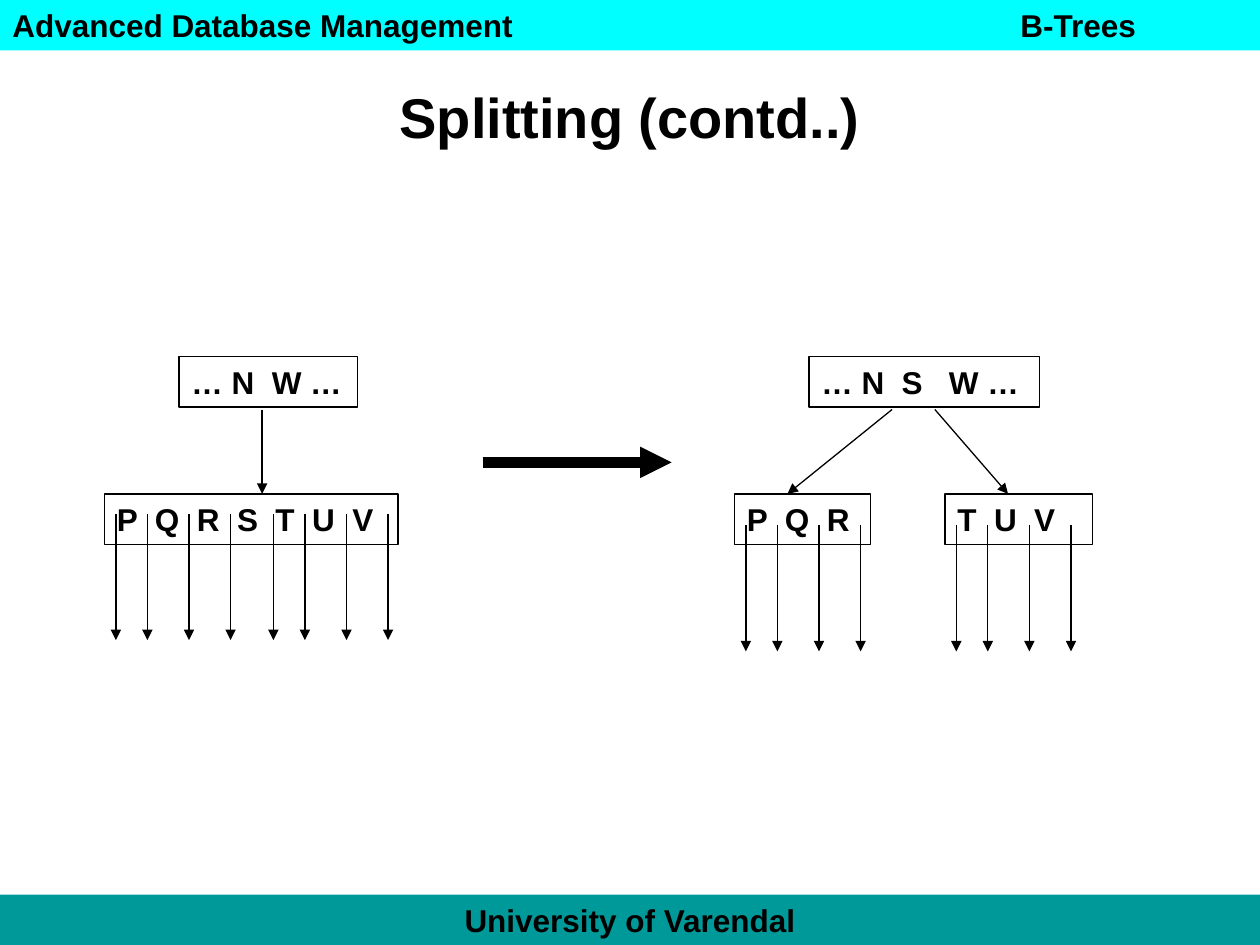
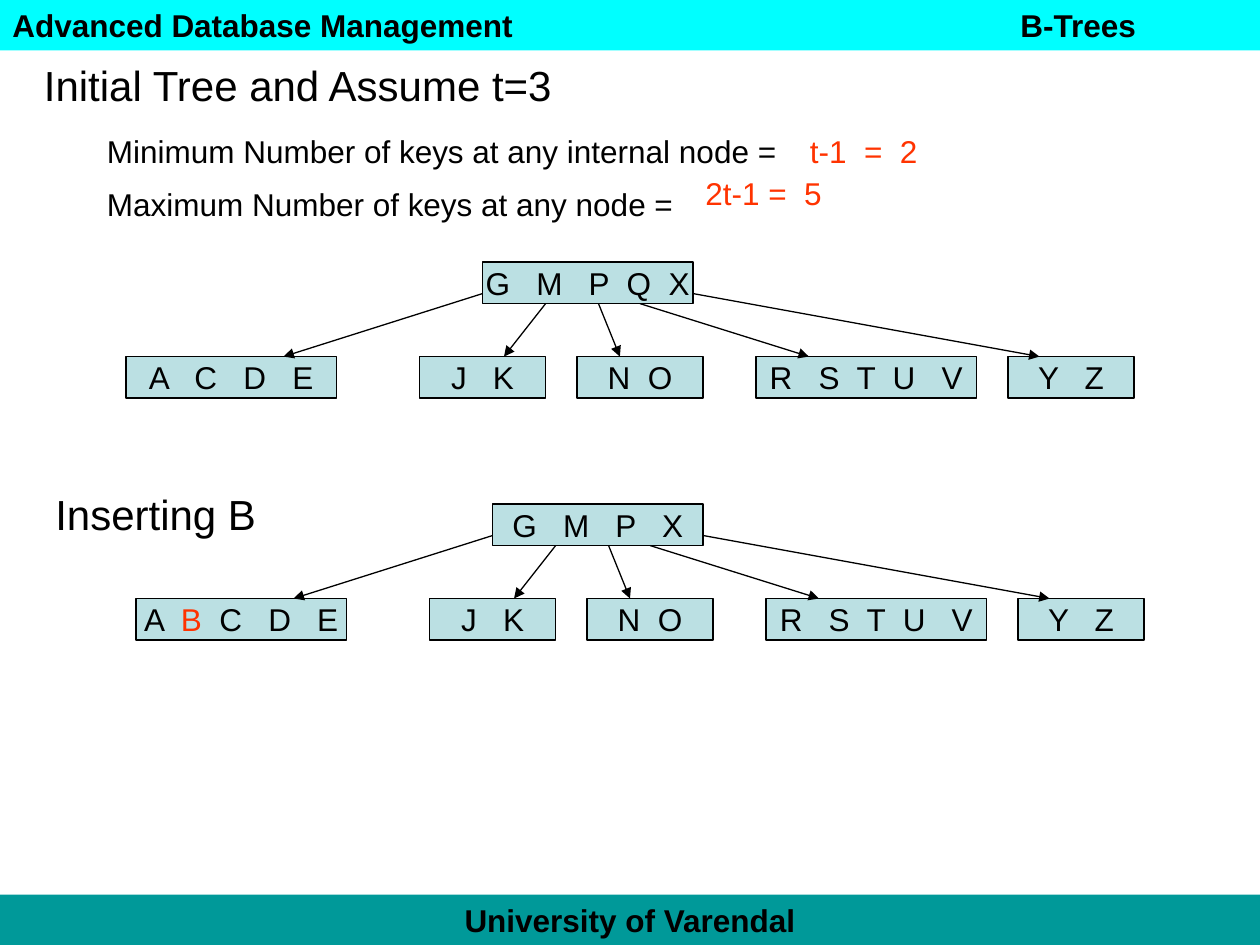
from pptx import Presentation
from pptx.util import Inches, Pt
from pptx.dml.color import RGBColor
from pptx.enum.shapes import MSO_CONNECTOR, MSO_SHAPE
from pptx.enum.text import MSO_ANCHOR, PP_ALIGN
from pptx.oxml.ns import qn
from lxml.etree import SubElement

BLACK = RGBColor(0, 0, 0)
RED = RGBColor(0xFF, 0x33, 0x00)
CYAN = RGBColor(0x00, 0xFF, 0xFF)
TEAL = RGBColor(0x00, 0x99, 0x99)
PALE = RGBColor(0xBB, 0xE0, 0xE3)
FONT = "Arial"
LEFT, MID = PP_ALIGN.LEFT, PP_ALIGN.CENTER

# Shared content
HEADER = "Advanced Database Management\tB-Trees"
FOOTER = "University of Varendal"
TOPIC_TAB = 8

# Splitting: parents (left, width, text)
TITLE = "Splitting (contd..)"
PARENTS = [(1.42, 1.42, "… N  W …"), (6.42, 1.83, "… N  S   W …")]
PARENT_TOP, CHILD_TOP = 2.83, 3.92
# Children: left, width, text, top of pointers
CHILDREN = [
    (0.83, 2.33, "P  Q  R  S  T  U  V", 4.08),
    (5.83, 1.08, "P  Q  R", 4.17),
    (7.5, 1.17, "T  U  V", 4.17),
]
LINKS = [(2.08, 2.08), (7.08, 6.25), (7.42, 8)]
STEPS = (0.09, 0.34, 0.67, 1)  # pointer places within four keys
SPAN = 1.25                    # width of four keys

# Insertion: trees (left, top, root text, first leaf as text and colour)
TREES = [
    (1, 2.08, "G   M   P  Q  X", [("A   C   D   E", BLACK)]),
    (1.08, 4, "G   M   P   X",
     [("A  ", BLACK), ("B", RED), ("  C   D   E", BLACK)]),
]
ROOT = (2.83, 1.67)
FIRST = 1.67
# Other leaves: left from the tree edge, width, text
LEAVES = [
    (2.33, 1, "J   K"),
    (3.58, 1, "N  O"),
    (5, 1.75, "R   S  T  U   V"),
    (7, 1, "Y   Z"),
]
DROP, NODE_H = 0.75, 0.33
# Branches: start x, start y, end x, from the tree corner
BRANCHES = [
    (2.83, 0.25, 1.25), (3.33, 0.33, 3), (3.75, 0.33, 3.92),
    (4.08, 0.33, 5.42), (4.5, 0.25, 7.25),
]
# Notes: left, top, width, height, size, colour, text
NOTES = [
    (0.25, 0.42, 4.32, 0.5, 24, BLACK, "Initial Tree and Assume t=3"),
    (0.34, 3.83, 1.85, 0.5, 24, BLACK, "Inserting B"),
    (0.75, 1, 5.57, 0.4, 18, BLACK,
     "Minimum Number of keys at any internal node ="),
    (0.75, 1.42, 4.92, 0.4, 18, BLACK,
     "Maximum Number of keys at any node ="),
    (6.33, 1, 1.52, 0.4, 18, RED, "t-1  =  2"),
    (5.5, 1.33, 1.2, 0.4, 18, RED, "2t-1 =  5"),
]


def write(shape, parts, size=18, bold=False, align=LEFT,
          anchor=MSO_ANCHOR.TOP, wrap=True):
    frame = shape.text_frame
    frame.word_wrap = wrap
    frame.vertical_anchor = anchor
    para = frame.paragraphs[0]
    para.alignment = align
    for text, tint in parts:
        run = para.add_run()
        run.text = text
        font = run.font
        font.name, font.size, font.bold = FONT, Pt(size), bold
        font.color.rgb = tint
    return para


def box(slide, x, y, w, h, fill=None, edge=True):
    shape = slide.shapes.add_shape(
        MSO_SHAPE.RECTANGLE, Inches(x), Inches(y), Inches(w), Inches(h))
    shape.shadow.inherit = False
    if fill is None:
        shape.fill.background()
    else:
        shape.fill.solid()
        shape.fill.fore_color.rgb = fill
    if edge:
        shape.line.color.rgb = BLACK
        shape.line.width = Pt(0.75)
    else:
        shape.line.fill.background()
    return shape


def label(slide, x, y, w, h, text, tint=BLACK, **style):
    shape = slide.shapes.add_textbox(
        Inches(x), Inches(y), Inches(w), Inches(h))
    write(shape, [(text, tint)], **style)


def arrow(slide, x1, y1, x2, y2, width=0.75):
    link = slide.shapes.add_connector(
        MSO_CONNECTOR.STRAIGHT,
        Inches(x1), Inches(y1), Inches(x2), Inches(y2))
    link.line.color.rgb = BLACK
    link.line.width = Pt(width)
    props = link.element.spPr
    SubElement(props.get_or_add_ln(), qn("a:tailEnd"), type="triangle")
    SubElement(props, qn("a:effectLst"))


def page(deck):
    """Add a slide with the footer and header bands."""
    slide = deck.slides.add_slide(deck.slide_layouts[6])
    foot = box(slide, 0, 7.1, 10, 0.4, TEAL, edge=False)
    write(foot, [(FOOTER, BLACK)], bold=True, align=MID)
    head = box(slide, 0, 0, 10, 0.4, CYAN, edge=False)
    para = write(head, [(HEADER, BLACK)], bold=True)
    tabs = SubElement(para._p.get_or_add_pPr(), qn("a:tabLst"))
    SubElement(tabs, qn("a:tab"), pos=str(Inches(TOPIC_TAB)), algn="l")
    return slide


def split(deck):
    slide = page(deck)
    label(slide, 0, 0.3, 10, 1.25, TITLE, size=32, bold=True, align=MID,
          anchor=MSO_ANCHOR.MIDDLE)
    for x, w, text in PARENTS:
        write(box(slide, x, PARENT_TOP, w, 0.4), [(text, BLACK)], bold=True)
    for x, w, text, top in CHILDREN:
        write(box(slide, x, CHILD_TOP, w, 0.4), [(text, BLACK)], bold=True)
        # One pointer more than there are keys
        for i in range(len(text.split()) + 1):
            at = x + i // 4 * SPAN + STEPS[i % 4]
            arrow(slide, at, top, at, top + 1)
    for x1, x2 in LINKS:
        arrow(slide, x1, 3.25, x2, CHILD_TOP)
    arrow(slide, 3.83, 3.67, 5.33, 3.67, width=6)


def insert(deck):
    slide = page(deck)
    for x, y, root, first in TREES:
        nodes = [(ROOT[0], 0, ROOT[1], [(root, BLACK)]),
                 (0, DROP, FIRST, first)]
        nodes += [(dx, DROP, w, [(text, BLACK)]) for dx, w, text in LEAVES]
        for dx, dy, w, parts in nodes:
            node = box(slide, x + dx, y + dy, w, NODE_H, PALE)
            write(node, parts, align=MID, anchor=MSO_ANCHOR.MIDDLE,
                  wrap=False)
        for x1, y1, x2 in BRANCHES:
            arrow(slide, x + x1, y + y1, x + x2, y + DROP)
    for x, y, w, h, size, tint, text in NOTES:
        label(slide, x, y, w, h, text, tint, size=size)


def main():
    deck = Presentation()
    deck.slide_width, deck.slide_height = Inches(10), Inches(7.5)
    split(deck)
    insert(deck)
    deck.save("out.pptx")


if __name__ == "__main__":
    main()
